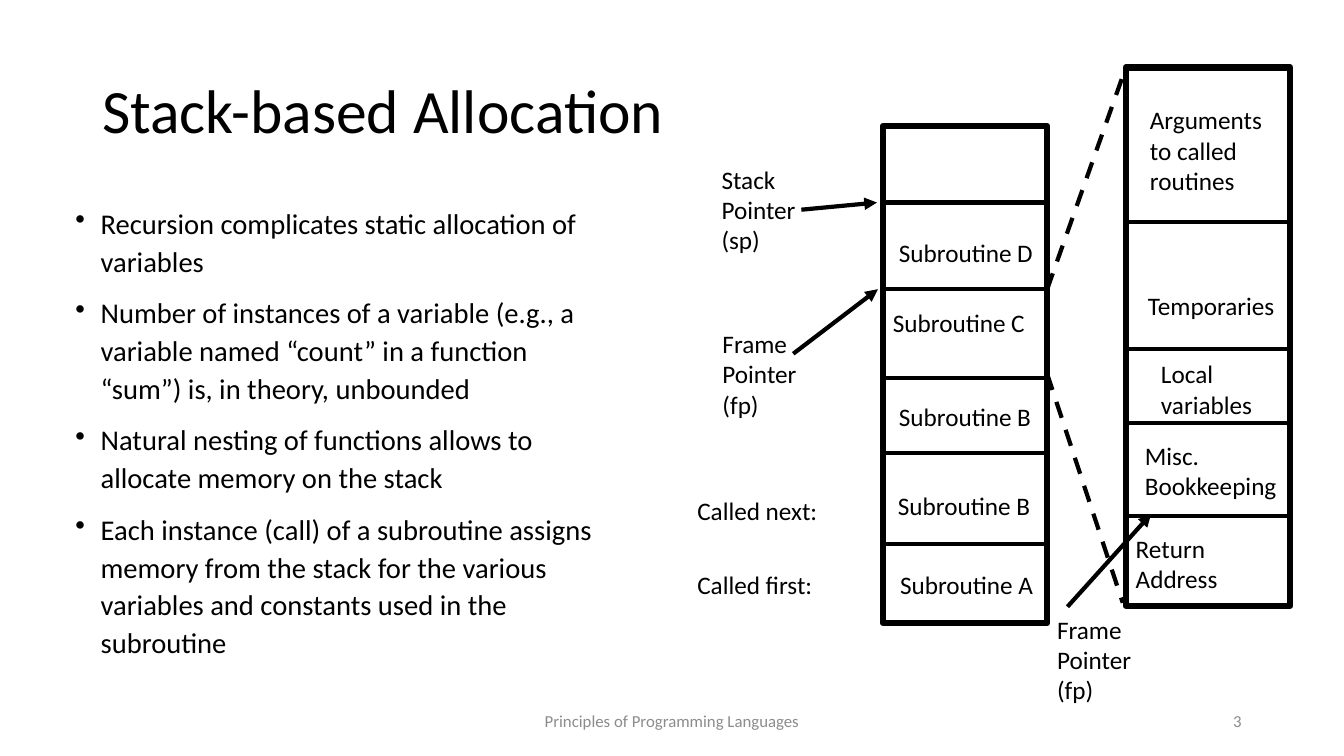
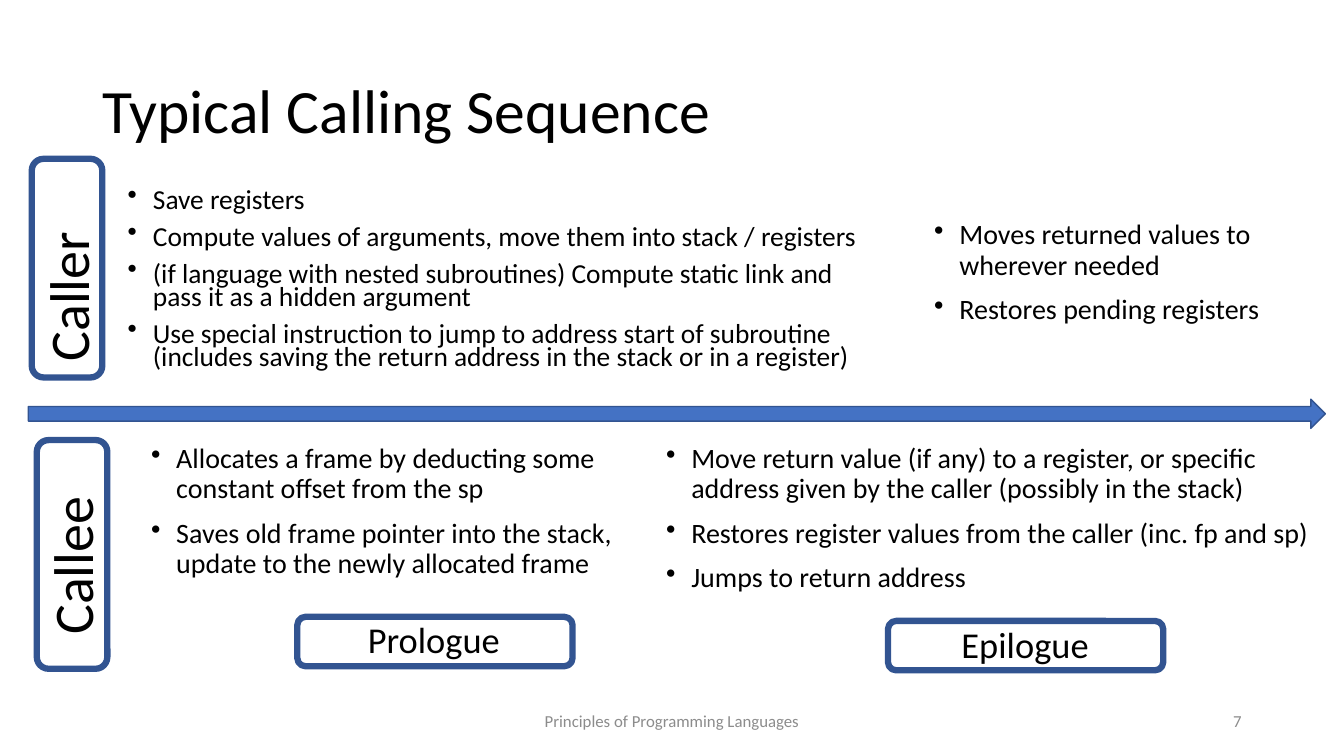
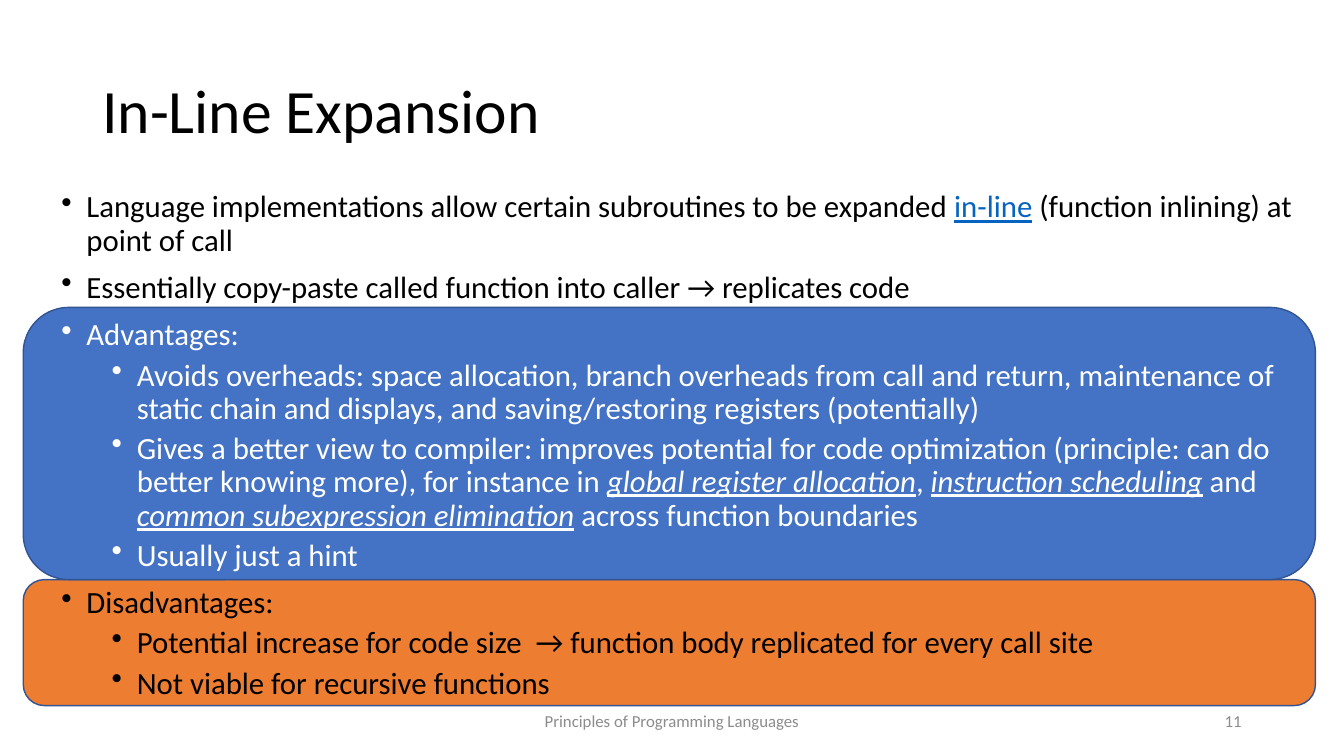
from dataclasses import dataclass, field
from typing import Any, NamedTuple

from lxml.etree import SubElement
from pptx import Presentation
from pptx.dml.color import RGBColor
from pptx.enum.dml import MSO_LINE_DASH_STYLE
from pptx.enum.shapes import MSO_CONNECTOR, MSO_SHAPE
from pptx.enum.text import MSO_ANCHOR, MSO_AUTO_SIZE, PP_ALIGN
from pptx.oxml.ns import qn
from pptx.slide import Slide
from pptx.util import Pt

COLORS = {
    "text": "000000",
    "inverse": "FFFFFF",
    "footer": "8C8C8C",
    "link": "0563C1",
    "blue": "4472C4",
    "orange": "ED7D31",
    "outline": "325491",
}
FONT = "Calibri"
FOOTER = "Principles of Programming Languages"
EMPHASIS = {"italic": True, "underline": True}


class Box(NamedTuple):
    """Position and size in points."""

    left: float
    top: float
    width: float
    height: float


class Run(NamedTuple):
    """Text with its own colour and font attributes."""

    text: str
    color: str = "text"
    font: dict[str, Any] = {}


@dataclass
class Item:
    """One paragraph; a level of None means no bullet."""

    runs: list[Run]
    level: int | None = None


@dataclass
class TextStyle:
    """Formatting shared by all paragraphs of a text box."""

    size: float = 18
    frame: dict[str, Any] = field(default_factory=lambda: {"word_wrap": True})
    paragraph: dict[str, Any] = field(default_factory=dict)


class Label(NamedTuple):
    """Short text at a place; newlines separate paragraphs."""

    text: str
    box: Box
    wrap: bool = False
    size: float = 18
    rotation: float = 0


class Line(NamedTuple):
    """Straight line with an optional dash or arrowhead."""

    start: tuple[float, float]
    end: tuple[float, float]
    dashed: bool = False
    arrow: bool = False


class Panel(NamedTuple):
    """Preset shape with an optional fill."""

    kind: MSO_SHAPE
    box: Box
    fill: str | None = None
    line: str = "outline"
    weight: float = 1
    rotation: float = 0


class Memory(NamedTuple):
    """Outlined block of memory cut by horizontal dividers."""

    box: Box
    dividers: list[float]


def rgb(name: str) -> RGBColor:
    """Look up a named colour."""
    return RGBColor.from_string(COLORS[name])


def apply(target: Any, values: dict[str, Any]) -> None:
    """Set every attribute in values on target."""
    for name, value in values.items():
        setattr(target, name, value)


def add_text(slide: Slide, box: Box, items: list[Item], style: TextStyle, rotation: float = 0) -> None:
    """Add a text box holding the given paragraphs."""
    shape = slide.shapes.add_textbox(*map(Pt, box))
    shape.rotation = rotation
    frame = shape.text_frame
    apply(frame, style.frame)
    for index, item in enumerate(items):
        paragraph = frame.add_paragraph() if index else frame.paragraphs[0]
        apply(paragraph, style.paragraph)
        if item.level is not None:
            paragraph.level = item.level
            paragraph.space_before = Pt(5 if item.level else 10)
            properties = paragraph._p.get_or_add_pPr()
            properties.set("marL", str(Pt(18 + 36 * item.level)))
            properties.set("indent", str(Pt(-18)))
            SubElement(properties, qn("a:buChar")).set("char", "•")
        for text, color, font in item.runs:
            run = paragraph.add_run()
            run.text = text
            apply(run.font, {"name": FONT, "size": Pt(style.size), **font})
            run.font.color.rgb = rgb(color)


def add_bullets(slide: Slide, box: Box, items: list[Item], size: float = 20, spacing: float = 0.9) -> None:
    """Add a bulleted list."""
    add_text(slide, box, items, TextStyle(size, paragraph={"line_spacing": spacing}))


def add_label(slide: Slide, label: Label) -> None:
    """Add a text box that fits its text."""
    frame = {"word_wrap": label.wrap, "auto_size": MSO_AUTO_SIZE.SHAPE_TO_FIT_TEXT}
    items = [Item([Run(text)]) for text in label.text.split("\n")]
    add_text(slide, label.box, items, TextStyle(label.size, frame), label.rotation)


def add_panel(slide: Slide, panel: Panel) -> None:
    """Add a preset shape without shadow."""
    shape = slide.shapes.add_shape(panel.kind, *map(Pt, panel.box))
    shape.shadow.inherit = False
    shape.rotation = panel.rotation
    if panel.fill:
        shape.fill.solid()
        shape.fill.fore_color.rgb = rgb(panel.fill)
    else:
        shape.fill.background()
    shape.line.color.rgb = rgb(panel.line)
    shape.line.width = Pt(panel.weight)


def add_line(slide: Slide, line: Line) -> None:
    """Add a black connector."""
    connector = slide.shapes.add_connector(MSO_CONNECTOR.STRAIGHT, *map(Pt, line.start + line.end))
    connector.line.color.rgb = rgb("text")
    connector.line.width = Pt(3)
    if line.dashed:
        connector.line.dash_style = MSO_LINE_DASH_STYLE.DASH
    properties = connector._element.spPr
    if line.arrow:
        SubElement(properties.find(qn("a:ln")), qn("a:tailEnd")).set("type", "triangle")
    SubElement(properties, qn("a:effectLst"))


def add_memory(slide: Slide, memory: Memory) -> None:
    """Add a memory block and its dividers."""
    box = memory.box
    add_panel(slide, Panel(MSO_SHAPE.RECTANGLE, box, line="text", weight=4.5))
    for y in memory.dividers:
        add_line(slide, Line((box.left + 2, y), (box.left + box.width - 2, y)))


def add_frame(slide: Slide, title: str, number: int) -> None:
    """Add the title, footer and slide number."""
    middle = {"word_wrap": True, "vertical_anchor": MSO_ANCHOR.MIDDLE}
    parts = [
        (title, Box(66, 28.8, 828, 104.4), 44, "text", {"line_spacing": 0.9}),
        (FOOTER, Box(318, 500.5, 324, 28.8), 12, "footer", {"alignment": PP_ALIGN.CENTER}),
        (str(number), Box(678, 500.5, 216, 28.8), 12, "footer", {"alignment": PP_ALIGN.RIGHT}),
    ]
    for text, box, size, color, paragraph in parts:
        add_text(slide, box, [Item([Run(text, color)])], TextStyle(size, middle, paragraph))


def bullets(*texts: str, level: int = 0, color: str = "text") -> list[Item]:
    """Make plain bulleted paragraphs."""
    return [Item([Run(text, color)], level) for text in texts]


def build_allocation(slide: Slide) -> None:
    """Draw the stack and the frame of one subroutine."""
    add_frame(slide, "Stack-based Allocation", 3)
    add_bullets(slide, Box(46.8, 141.1, 396.7, 342.7), bullets(
        "Recursion complicates static allocation of variables",
        "Number of instances of a variable (e.g., a variable named “count” in a function “sum”) "
        "is, in theory, unbounded",
        "Natural nesting of functions allows to allocate memory on the stack",
        "Each instance (call) of a subroutine assigns memory from the stack for the various "
        "variables and constants used in the subroutine",
    ), 20.4, 1.1)
    memories = [
        Memory(Box(630.7, 90, 117.4, 355), [144.7, 206.6, 270, 323.3, 388.8]),
        Memory(Box(804.2, 48.2, 117.4, 384.5), [158.4, 249.1, 302.4, 368.6]),
    ]
    for memory in memories:
        add_memory(slide, memory)
    lines = [
        Line((748, 206.6), (804.2, 48.2), dashed=True),
        Line((748, 267.1), (802, 430.6), dashed=True),
        Line((572.4, 149.8), (626.4, 144.7), arrow=True),
        Line((566.6, 252.7), (627.1, 206.6), arrow=True),
        Line((762.5, 433.4), (822.2, 367.2), arrow=True),
    ]
    for line in lines:
        add_line(slide, line)
    labels = [
        Label("Subroutine A", Box(635.8, 403.2, 111, 28.8)),
        Label("Subroutine B", Box(634.3, 347, 110, 28.8)),
        Label("Subroutine B", Box(635, 283, 110, 28.8)),
        Label("Subroutine C", Box(630.7, 216, 110, 28.8)),
        Label("Subroutine D", Box(635, 166.3, 111.6, 28.8)),
        Label("Arguments to called routines", Box(814.3, 71.3, 103.7, 72.7), True),
        Label("Temporaries", Box(812.9, 203.8, 105.8, 28.8)),
        Label("Local\nvariables", Box(822.2, 252.7, 80.6, 51.1)),
        Label("Misc. \nBookkeeping", Box(810.7, 311, 109.4, 51.1)),
        Label("Return Address", Box(804.2, 377.3, 98.6, 51.1), True),
        Label("Stack \nPointer\n(sp)", Box(508.3, 113.8, 67.7, 72.7)),
        Label("Frame\nPointer\n(fp)", Box(509, 231.1, 67.7, 72.7)),
        Label("Frame\nPointer\n(fp)", Box(748, 434.9, 127.4, 72.7), True),
        Label("Called next:", Box(491, 350, 101.5, 28.8)),
        Label("Called first:", Box(491, 403.2, 98, 28.8)),
    ]
    for label in labels:
        add_label(slide, label)


def build_sequence(slide: Slide) -> None:
    """Draw caller and callee steps along the time arrow."""
    add_frame(slide, "Typical Calling Sequence", 7)
    add_bullets(slide, Box(84.2, 133.2, 552.2, 152.6), bullets(
        "Save registers",
        "Compute values of arguments, move them into stack / registers",
        "(if language with nested subroutines) Compute static link and pass it as a hidden argument",
        "Use special instruction to jump to address start of subroutine "
        "(includes saving the return address in the stack or in a register)",
    ), 19.6, 0.7)
    add_bullets(slide, Box(660.2, 154.1, 252, 129.6), bullets(
        "Moves returned values to wherever needed",
        "Restores pending registers",
    ))
    add_bullets(slide, Box(100.8, 313.9, 396.7, 133.9), bullets(
        "Allocates a frame by deducting some constant offset from the sp",
        "Saves old frame pointer into the stack, update to the newly allocated frame",
    ))
    add_bullets(slide, Box(468.7, 313.9, 478.1, 133.9), bullets(
        "Move return value (if any) to a register, or specific address given by the caller "
        "(possibly in the stack)",
        "Restores register values from the caller (inc. fp and sp)",
        "Jumps to return address",
    ))
    add_panel(slide, Panel(MSO_SHAPE.RIGHT_ARROW, Box(20.2, 285.1, 926.6, 20.9), "blue"))
    tags = [
        (Box(-30.2, 166.3, 156.2, 50.4), Label("Caller", Box(-5.8, 183.6, 108, 55.4), False, 40, 270)),
        (Box(-30.2, 370.8, 163.4, 50.4), Label("Callee", Box(-5.8, 375.8, 113.8, 55.4), False, 40, 270)),
        (Box(212.4, 440.6, 196.6, 35.3), Label("Prologue", Box(255.6, 437, 109.4, 38.9), False, 26)),
        (Box(634.3, 443.5, 196.6, 35.3), Label("Epilogue", Box(679.7, 440.6, 106.6, 38.9), False, 26)),
    ]
    for box, label in tags:
        add_panel(slide, Panel(MSO_SHAPE.ROUNDED_RECTANGLE, box, weight=4.5, rotation=label.rotation))
        add_label(slide, label)


def build_expansion(slide: Slide) -> None:
    """Draw the pros and cons of in-line expansion."""
    for top, height, fill in [(414, 90, "orange"), (219.6, 194.4, "blue")]:
        add_panel(slide, Panel(MSO_SHAPE.ROUNDED_RECTANGLE, Box(16.6, top, 923, height), fill))
    add_frame(slide, "In-Line Expansion", 11)
    better_view = [
        Run("Gives a better view to compiler: improves potential for code optimization (principle: "
            "can do better knowing more), for instance in ", "inverse"),
        Run("global register allocation", "inverse", EMPHASIS),
        Run(", ", "inverse"),
        Run("instruction scheduling", "inverse", EMPHASIS),
        Run(" and ", "inverse"),
        Run("common subexpression elimination", "inverse", EMPHASIS),
        Run(" across function boundaries", "inverse"),
    ]
    introduction = [
        Run("Language implementations allow certain subroutines to be expanded "),
        Run("in-line", "link", {"underline": True}),
        Run(" (function inlining) at point of call"),
    ]
    add_bullets(slide, Box(36.7, 133.2, 902.9, 342.7), [
        Item(introduction, 0),
        *bullets("Essentially copy-paste called function into caller → replicates code"),
        *bullets("Advantages:", color="inverse"),
        *bullets("Avoids overheads: space allocation, branch overheads from call and return, maintenance "
                 "of static chain and displays, and saving/restoring registers (potentially)",
                 level=1, color="inverse"),
        Item(better_view, 1),
        *bullets("Usually just a hint", level=1, color="inverse"),
        *bullets("Disadvantages: "),
        *bullets("Potential increase for code size  → function body replicated for every call site",
                 "Not viable for recursive functions", level=1),
    ], 22)


def main() -> None:
    """Build and save the presentation."""
    presentation = Presentation()
    apply(presentation, {"slide_width": Pt(960), "slide_height": Pt(540)})
    for build in (build_allocation, build_sequence, build_expansion):
        build(presentation.slides.add_slide(presentation.slide_layouts[6]))
    presentation.save("out.pptx")


main()
